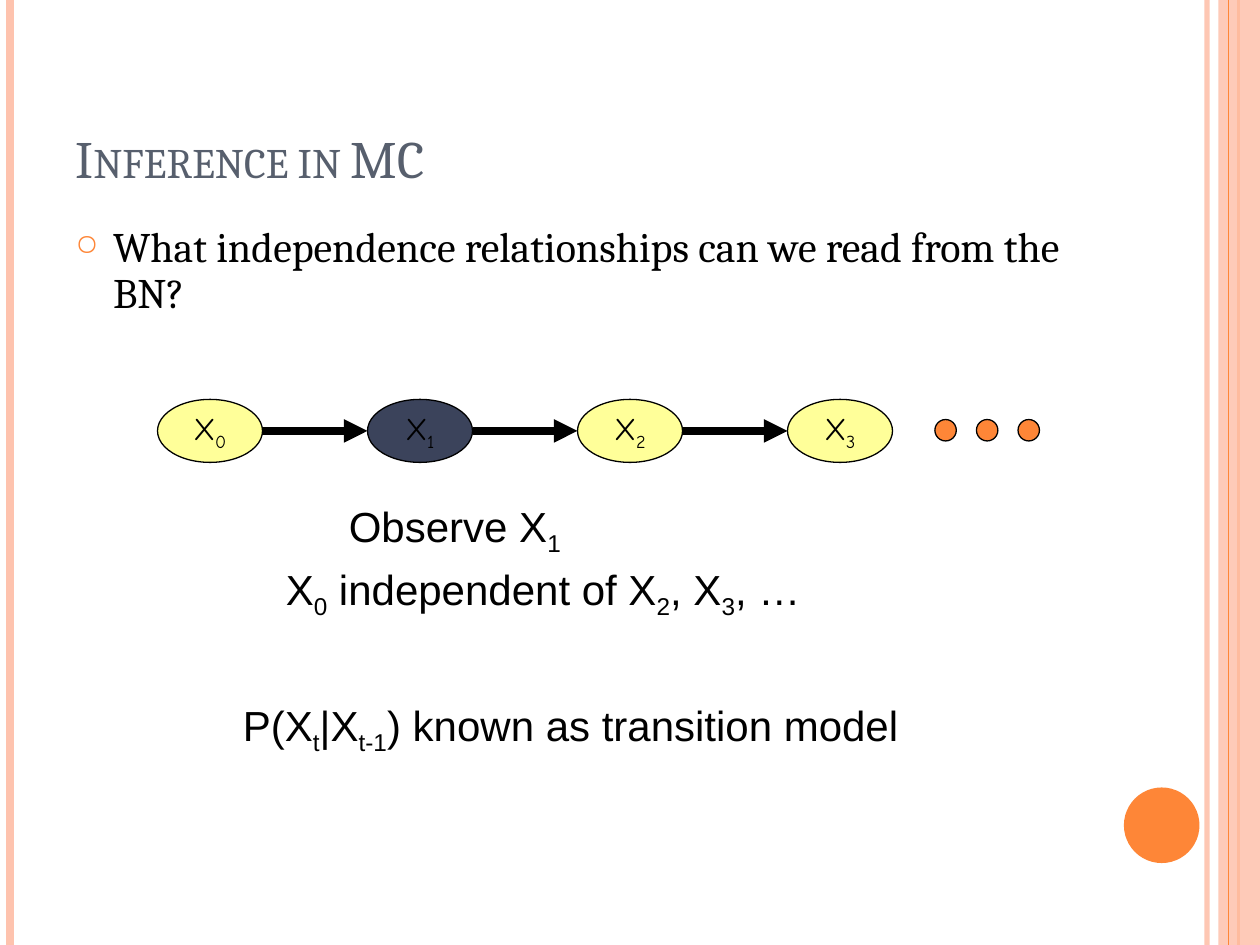
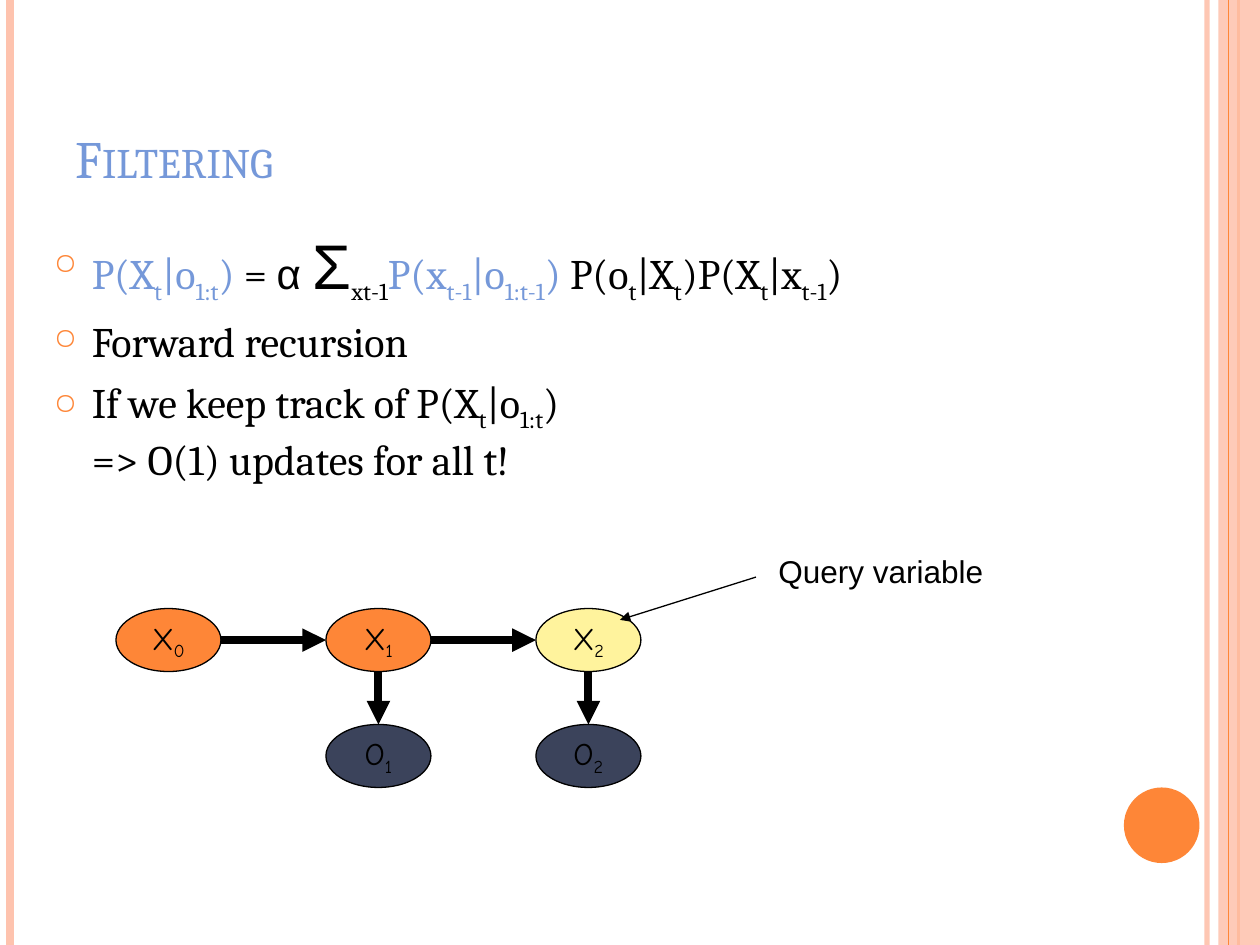
from lxml.etree import SubElement
from pptx import Presentation
from pptx.dml.color import RGBColor
from pptx.enum.shapes import MSO_CONNECTOR, MSO_SHAPE
from pptx.enum.text import MSO_ANCHOR, MSO_AUTO_SIZE, PP_ALIGN
from pptx.oxml.ns import qn
from pptx.util import Inches, Pt

ORANGE, PEACH, NAVY, YELLOW, CREAM = "FE8637", "FEC3AE", "3B435B", "FFFF99", "FFF39D"
BLACK, SLATE, BLUE = "000000", "575F6D", "7598D9"
SERIF, SANS, HAND = "Cambria", "Arial", "Comic Neue"
PAGE_WIDTH, PAGE_HEIGHT = 10, 7.5
NODE_WIDTH, NODE_HEIGHT = 5 / 6, 0.5
NODE_PITCH = 2 * NODE_WIDTH


def colour(code):
    return RGBColor.from_string(code)


class Lecture:
    def __init__(self):
        self.deck = Presentation()
        self.deck.slide_width = Inches(PAGE_WIDTH)
        self.deck.slide_height = Inches(PAGE_HEIGHT)
        self.page = None

    def new_page(self, title, title_colour):
        self.page = self.deck.slides.add_slide(self.deck.slide_layouts[6])
        self.vertical_band(9.58, PEACH, 3, 93)
        self.vertical_band(0.08, PEACH, 4.5)
        self.vertical_band(9.83, ORANGE, 1.5)
        self.shape(MSO_SHAPE.RECTANGLE, 9.67, 0, 0.33, PAGE_HEIGHT, PEACH, opacity=87)
        self.vertical_band(9.75, ORANGE, 0.75)
        self.shape(MSO_SHAPE.OVAL, 8.92, 6.25, 0.6, 0.6, ORANGE)
        frame = self.text_frame(0.5, 0.3, 8.17, 1.25)
        frame.vertical_anchor = MSO_ANCHOR.BOTTOM
        self.add_spans(frame.paragraphs[0], title, SERIF, 30, title_colour)
        for span in frame.paragraphs[0].runs:
            span._r.get_or_add_rPr().set("cap", "small")

    def vertical_band(self, x, code, width, opacity=100):
        self.line(x, 0, x, PAGE_HEIGHT, code, width, opacity=opacity)

    def set_opacity(self, item, percent):
        if percent < 100:
            for tint in item._element.spPr.iter(qn("a:srgbClr")):
                SubElement(tint, qn("a:alpha"), val=str(percent * 1000))

    def line(self, x1, y1, x2, y2, code=BLACK, width=4.5, arrow=False, opacity=100):
        link = self.page.shapes.add_connector(
            MSO_CONNECTOR.STRAIGHT, Inches(x1), Inches(y1), Inches(x2), Inches(y2))
        link.line.color.rgb = colour(code)
        link.line.width = Pt(width)
        if arrow:
            SubElement(link.line._get_or_add_ln(), qn("a:tailEnd"), type="triangle")
        SubElement(link._element.spPr, qn("a:effectLst"))
        self.set_opacity(link, opacity)

    def arrow(self, x1, y1, x2, y2, width=4.5):
        self.line(x1, y1, x2, y2, width=width, arrow=True)

    def shape(self, kind, left, top, width, height, fill, outline=None, opacity=100):
        box = self.page.shapes.add_shape(
            kind, Inches(left), Inches(top), Inches(width), Inches(height))
        box.shadow.inherit = False
        box.fill.solid()
        box.fill.fore_color.rgb = colour(fill)
        if outline:
            box.line.color.rgb = colour(outline)
            box.line.width = Pt(0.75)
        else:
            box.line.fill.background()
        self.set_opacity(box, opacity)
        return box

    def node(self, left, top, label, fill):
        oval = self.shape(MSO_SHAPE.OVAL, left, top, NODE_WIDTH, NODE_HEIGHT, fill, BLACK)
        frame = oval.text_frame
        frame.word_wrap = False
        frame.vertical_anchor = MSO_ANCHOR.MIDDLE
        para = frame.paragraphs[0]
        para.alignment = PP_ALIGN.CENTER
        self.add_spans(para, label, HAND, 18)

    def chain(self, left, top, fills):
        middle = top + NODE_HEIGHT / 2
        for index, fill in enumerate(fills):
            x = left + index * NODE_PITCH
            if index:
                self.arrow(x - NODE_PITCH + NODE_WIDTH, middle, x, middle)
            self.node(x, top, f"X~{index}~", fill)

    def text_frame(self, left, top, width, height):
        box = self.page.shapes.add_textbox(
            Inches(left), Inches(top), Inches(width), Inches(height))
        box.text_frame.word_wrap = True
        return box.text_frame

    def add_spans(self, para, text, font=SERIF, size=24, code=BLACK):
        for index, part in enumerate(text.split("~")):
            for row, piece in enumerate(part.split("\n")):
                if row:
                    para.add_line_break()
                if not piece:
                    continue
                span = para.add_run()
                span.text = piece
                span.font.name = font
                span.font.size = Pt(size)
                span.font.color.rgb = colour(code)
                if index % 2:
                    span._r.get_or_add_rPr().set("baseline", "-25000")

    def label(self, left, top, width, height, text, size=24):
        frame = self.text_frame(left, top, width, height)
        frame.auto_size = MSO_AUTO_SIZE.SHAPE_TO_FIT_TEXT
        self.add_spans(frame.paragraphs[0], text, SANS, size)

    def bullets(self, left, top, width, height, items, spacing=1.0):
        frame = self.text_frame(left, top, width, height)
        for index, parts in enumerate(items):
            para = frame.add_paragraph() if index else frame.paragraphs[0]
            para.space_before = Pt(6)
            para.line_spacing = spacing
            props = para._p.get_or_add_pPr()
            props.set("marL", str(Inches(0.3)))
            props.set("indent", str(-Inches(0.3)))
            SubElement(SubElement(props, qn("a:buClr")), qn("a:srgbClr"), val=ORANGE)
            SubElement(props, qn("a:buSzPct"), val="70000")
            SubElement(props, qn("a:buChar"), char="○")
            for text, style in parts:
                self.add_spans(para, text, **style)


def build_inference(lecture):
    lecture.new_page("Inference in MC", SLATE)
    question = "What independence relationships can we read from the BN?"
    lecture.bullets(0.5, 1.75, 8.17, 5.33, [[(question, {})]], spacing=0.9)
    lecture.chain(1.25, 3.17, [YELLOW, NAVY, YELLOW, YELLOW])
    for index in range(3):
        lecture.shape(MSO_SHAPE.OVAL, 7.42 + index * 0.33, 3.33, 0.17, 0.17, ORANGE, BLACK)
    lecture.label(2.67, 3.92, 2.58, 0.5, "Observe X~1~")
    lecture.label(2.17, 4.42, 4.83, 0.5, "X~0~ independent of X~2~, X~3~, …")
    lecture.label(1.83, 5.5, 6.92, 0.5, "P(X~t~|X~t-1~) known as transition model")


def build_filtering(lecture):
    lecture.new_page("Filtering", BLUE)
    known = {"code": BLUE}
    formula = [
        ("P(X~t~|o~1:t~)", known),
        (" = ", {}),
        ("α ", {"font": SANS}),
        ("Σ", {"font": SANS, "size": 36}),
        ("~xt-1~", {}),
        ("P(x~t-1~|o~1:t-1~)", known),
        (" P(o~t~|X~t~)P(X~t~|x~t-1~)", {}),
    ]
    lecture.bullets(0.33, 1.75, 9.75, 4.95, [
        formula,
        [("Forward recursion", {})],
        [("If we keep track of P(X~t~|o~1:t~)\n=> O(1) updates for all t!", {})],
    ])
    left, top, observed_top = 0.92, 4.83, 5.75
    lecture.chain(left, top, [ORANGE, ORANGE, CREAM])
    for index in (1, 2):
        x = left + index * NODE_PITCH
        centre = x + NODE_WIDTH / 2
        lecture.arrow(centre, top + NODE_HEIGHT, centre, observed_top)
        lecture.node(x, observed_top, f"O~{index}~", NAVY)
    lecture.arrow(6, 4.58, 4.92, 4.92, width=0.75)
    lecture.label(6.08, 4.33, 2.17, 0.4, "Query variable", size=18)


lecture = Lecture()
build_inference(lecture)
build_filtering(lecture)
lecture.deck.save("out.pptx")
